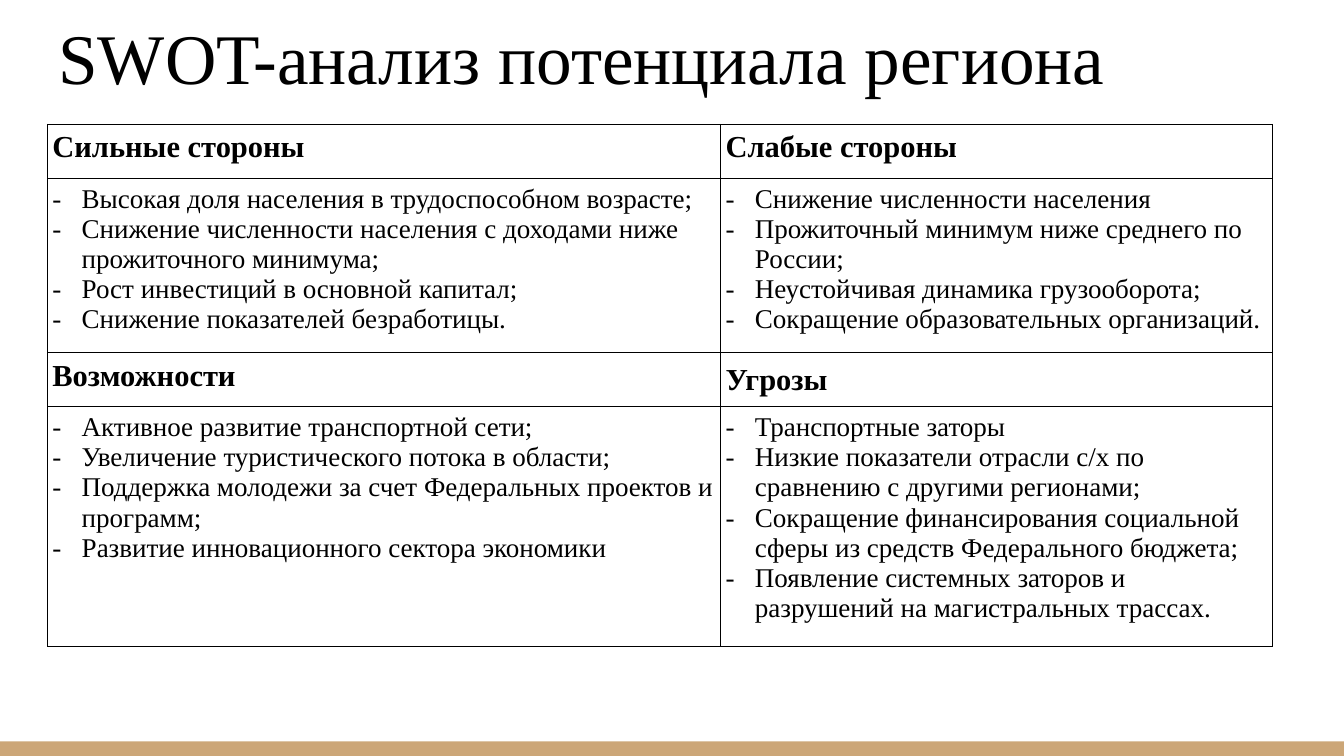
from dataclasses import dataclass

from lxml.etree import SubElement
from pptx import Presentation
from pptx.dml.color import RGBColor
from pptx.enum.shapes import MSO_SHAPE as Shape
from pptx.enum.text import MSO_ANCHOR as Anchor
from pptx.oxml.ns import qn
from pptx.util import Emu, Inches, Length, Pt

BLACK = RGBColor(0x00, 0x00, 0x00)
WHITE = RGBColor(0xFF, 0xFF, 0xFF)
SAND = RGBColor(0xCC, 0xA6, 0x77)
FONT = "Times New Roman"
WIDTH, HEIGHT = Inches(11.02), Inches(6.2)
BORDER, INDENT = Pt(0.57), Inches(0.24)

# Shares of the slide's size, in percent
COLUMNS = [50.09, 41.02]
ROWS = [7.1, 13.55, 7.1, 7.1]


@dataclass
class Box:
    left: float
    top: float
    width: float
    height: float

    def place(self) -> tuple[Length, Length, Length, Length]:
        return across(self.left), down(self.top), across(self.width), down(self.height)


@dataclass
class Quadrant:
    heading: str
    points: list[str]
    anchor: Anchor = Anchor.TOP
    space_before: float = 0


TITLE_BOX = Box(3.45, -1.45, 93.19, 16.13)
TABLE_BOX = Box(3.54, 16.45, sum(COLUMNS), sum(ROWS))
FOOTER_BOX = Box(0, 98.06, 100, 1.94)

# Read row by row, two quadrants in each
QUADRANTS = [
    Quadrant("Сильные стороны", [
        "Высокая доля населения в трудоспособном возрасте;",
        "Снижение численности населения с доходами ниже прожиточного минимума;",
        "Рост инвестиций в основной капитал;",
        "Снижение показателей безработицы.",
    ]),
    Quadrant("Слабые стороны", [
        "Снижение численности населения",
        "Прожиточный минимум ниже среднего по России;",
        "Неустойчивая динамика грузооборота;",
        "Сокращение образовательных организаций.",
    ]),
    Quadrant("Возможности", [
        "Активное развитие транспортной сети;",
        "Увеличение туристического потока в области;",
        "Поддержка молодежи за счет Федеральных проектов и программ;",
        "Развитие инновационного сектора экономики",
    ]),
    Quadrant("Угрозы", [
        "Транспортные заторы",
        "Низкие показатели отрасли с/х по сравнению с другими регионами;",
        "Сокращение финансирования социальной сферы из средств Федерального бюджета;",
        "Появление системных заторов и разрушений на магистральных трассах.",
    ], Anchor.MIDDLE, 0.6),
]


def across(share: float) -> Length:
    return Emu(round(WIDTH * share / 100))


def down(share: float) -> Length:
    return Emu(round(HEIGHT * share / 100))


def set_attrs(target, values: dict) -> None:
    for name, value in values.items():
        setattr(target, name, value)


def write(p, text: str, size: float, bold: bool = False) -> None:
    r = p.add_run()
    r.text = text
    set_attrs(r.font, {"name": FONT, "size": Pt(size), "bold": bold})
    r.font.color.rgb = BLACK


def add_dash(p) -> None:
    pPr = p._p.get_or_add_pPr()
    pPr.set("marL", str(INDENT))
    pPr.set("indent", str(-INDENT))
    color = SubElement(pPr, qn("a:buClr"))
    SubElement(color, qn("a:srgbClr"), val=str(BLACK))
    SubElement(pPr, qn("a:buFont"), typeface=FONT)
    SubElement(pPr, qn("a:buChar"), char="-")


def style_cell(cell) -> None:
    set_attrs(cell, {
        "margin_left": Inches(0.04), "margin_right": Inches(0.04),
        "margin_top": Inches(0.05), "margin_bottom": Inches(0.05),
    })
    tcPr = cell._tc.get_or_add_tcPr()
    for side in ("lnL", "lnR", "lnT", "lnB"):
        line = SubElement(tcPr, qn(f"a:{side}"), w=str(BORDER))
        fill = SubElement(line, qn("a:solidFill"))
        SubElement(fill, qn("a:srgbClr"), val=str(BLACK))
    cell.fill.background()


def fill_quadrant(head, body, quadrant: Quadrant) -> None:
    for cell in (head, body):
        style_cell(cell)
    head.vertical_anchor = quadrant.anchor
    p = head.text_frame.paragraphs[0]
    p.space_before = Pt(quadrant.space_before)
    write(p, quadrant.heading, 18, bold=True)
    tf = body.text_frame
    for i, point in enumerate(quadrant.points):
        p = tf.add_paragraph() if i else tf.paragraphs[0]
        add_dash(p)
        write(p, point, 16)


def add_footer(s) -> None:
    bar = s.shapes.add_shape(Shape.RECTANGLE, *FOOTER_BOX.place())
    bar.shadow.inherit = False
    bar.fill.solid()
    bar.fill.fore_color.rgb = SAND
    bar.line.fill.background()


def add_title(s) -> None:
    tf = s.shapes.add_textbox(*TITLE_BOX.place()).text_frame
    inset = Inches(0.1)
    set_attrs(tf, {
        "word_wrap": True, "vertical_anchor": Anchor.BOTTOM,
        "margin_left": inset, "margin_right": inset,
        "margin_top": inset, "margin_bottom": inset,
    })
    write(tf.paragraphs[0], "SWOT-анализ потенциала региона", 42)


def add_swot(s) -> None:
    table = s.shapes.add_table(len(ROWS), len(COLUMNS), *TABLE_BOX.place()).table
    set_attrs(table, {"first_row": False, "horz_banding": False})
    for column, share in zip(table.columns, COLUMNS):
        column.width = across(share)
    for row, share in zip(table.rows, ROWS):
        row.height = down(share)
    for i, quadrant in enumerate(QUADRANTS):
        band, col = divmod(i, len(COLUMNS))
        fill_quadrant(table.cell(2 * band, col), table.cell(2 * band + 1, col), quadrant)


def main() -> None:
    prs = Presentation()
    set_attrs(prs, {"slide_width": WIDTH, "slide_height": HEIGHT})
    s = prs.slides.add_slide(prs.slide_layouts[6])
    s.background.fill.solid()
    s.background.fill.fore_color.rgb = WHITE
    add_footer(s)
    add_title(s)
    add_swot(s)
    prs.save("out.pptx")


if __name__ == "__main__":
    main()
